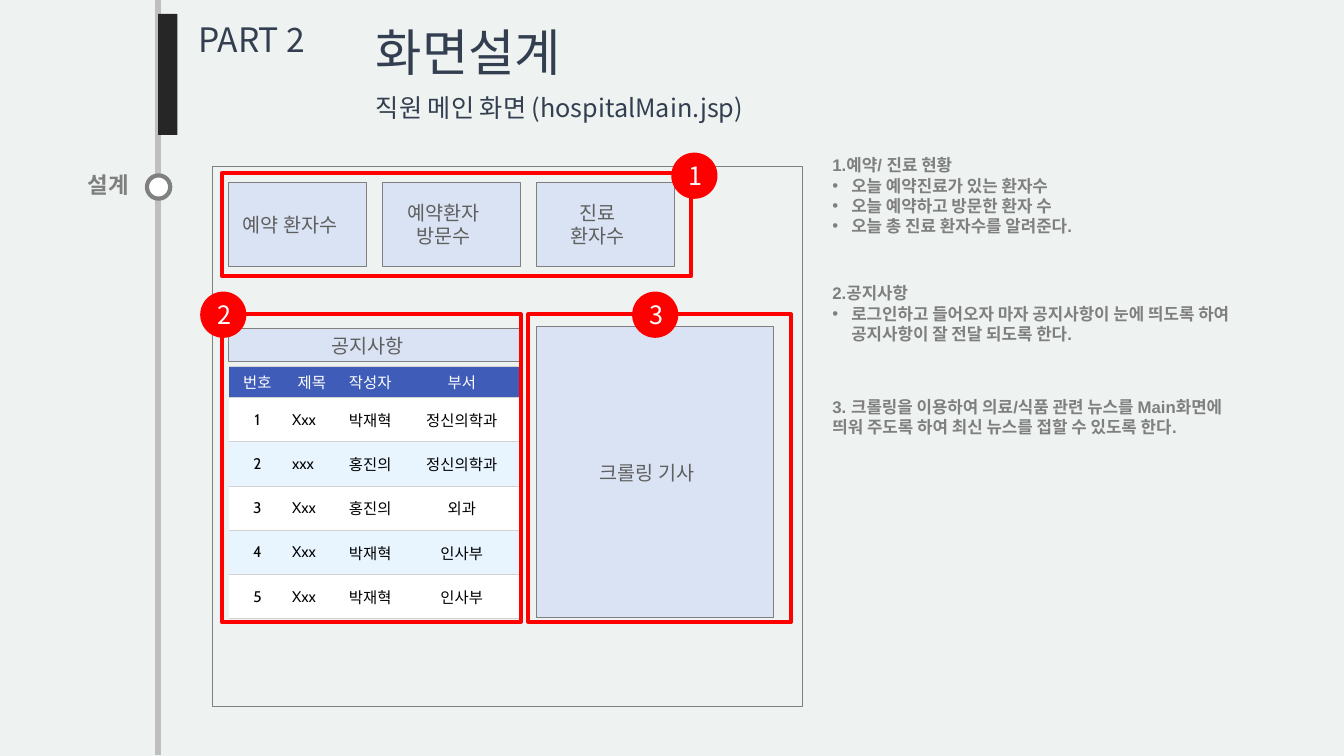
import pptx
import pptx.util
import pptx.dml.color
import pptx.enum.shapes
import pptx.enum.text
import pptx.oxml
import pptx.oxml.ns
from lxml import etree

Pt = pptx.util.Pt
SHAPES = pptx.enum.shapes.MSO_SHAPE
ALIGN = pptx.enum.text.PP_ALIGN
ANCHOR = pptx.enum.text.MSO_ANCHOR
KOREAN = "Noto Sans CJK KR"

COLORS = {
    "background": "EEF2F0", "rail": "BFBFBF", "bar": "262626", "heading": "333F50",
    "note": "7F7F7F", "outline": "808080", "panel": "DAE3F3", "panel_text": "5F5F5F",
    "red": "FF0000", "white": "FFFFFF", "black": "000000",
    "header": "3F5DB8", "band": "E8F5FF", "rule": "D2D2D2",
}

# Content
SECTION = "설계"
HEADINGS = [  # text, size, box, wrap
    ("PART 2", 24, (134.6, 10, 91.4, 36), False),
    ("화면설계", 36, (261.4, 11.5, 160, 51), False),
    ("직원 메인 화면 (hospitalMain.jsp)", 18, (261.4, 62.6, 310, 29), True),
]
NOTES = [  # top, height, heading, bullets
    (107.3, 65.5, "1.예약/ 진료 현황",
     ["오늘 예약진료가 있는 환자수", "오늘 예약하고 방문한 환자 수", "오늘 총 진료 환자수를 알려준다."]),
    (198.7, 51, "2.공지사항",
     ["로그인하고 들어오자 마자 공지사항이 눈에 띄도록 하여 공지사항이 잘 전달 되도록 한다."]),
    (280, 36, "3. 크롤링을 이용하여 의료/식품 관련 뉴스를 Main화면에 띄워 주도록 하여 "
     "최신 뉴스를 접할 수 있도록 한다.", []),
]
COUNTERS = [["예약 환자수"], ["예약환자 방문수"], ["진료", "환자수"]]
NOTICE_TITLE = "공지사항"
NOTICES = [
    ("번호", "제목", "작성자", "부서"),
    ("1", "Xxx", "박재혁", "정신의학과"),
    ("2", "xxx", "홍진의", "정신의학과"),
    ("3", "Xxx", "홍진의", "외과"),
    ("4", "Xxx", "박재혁", "인사부"),
    ("5", "Xxx", "박재혁", "인사부"),
]
NOTICE_WIDTHS = [41, 36.7, 46.9, 83.8]
NEWS = "크롤링 기사"
REGIONS = [  # marked area, centre of its number
    ((158.4, 123.8, 335.5, 73.4), (496, 125.5)),
    ((158.4, 224.6, 213.8, 219.6), (159.5, 224.8)),
    ((377.3, 224.6, 187.9, 219.6), (468, 224.8)),
]

LEFT = 163.4
COUNTER_STEP = 109.8
RAIL_X = 113
BADGE = 32

deck = pptx.Presentation()
deck.slide_width, deck.slide_height = Pt(960), Pt(540)
slide = deck.slides.add_slide(deck.slide_layouts[6])


def rgb(name):
    return pptx.dml.color.RGBColor.from_string(COLORS[name])


def paint(fill, color):
    fill.solid()
    fill.fore_color.rgb = rgb(color)


def write(frame, lines, *, size, color, font=KOREAN, bold=False, align=ALIGN.LEFT,
          wrap=True, anchor=None, insets=None, bullets_from=None):
    """Fill a text frame, one paragraph a line."""
    frame.word_wrap = wrap
    if anchor is not None:
        frame.vertical_anchor = anchor
    if insets:
        (frame.margin_left, frame.margin_top,
         frame.margin_right, frame.margin_bottom) = map(Pt, insets)
    for index, line in enumerate(lines):
        paragraph = frame.paragraphs[0] if index == 0 else frame.add_paragraph()
        paragraph.alignment = align
        run = paragraph.add_run()
        run.text = line
        run.font.size, run.font.bold, run.font.name = Pt(size), bold, font
        run.font.color.rgb = rgb(color)
        east_asian = etree.SubElement(run.font._element, pptx.oxml.ns.qn("a:ea"))
        east_asian.set("typeface", KOREAN)
        if bullets_from is not None and index >= bullets_from:
            properties = paragraph._p.get_or_add_pPr()
            properties.set("marL", str(Pt(13.5)))
            properties.set("indent", str(-Pt(13.5)))
            etree.SubElement(properties, pptx.oxml.ns.qn("a:buFont")).set("typeface", "Arial")
            etree.SubElement(properties, pptx.oxml.ns.qn("a:buChar")).set("char", "•")


def add_text(box, lines, **style):
    write(slide.shapes.add_textbox(*map(Pt, box)).text_frame, lines, **style)


def add_block(box, kind=SHAPES.RECTANGLE, fill=None, line=None, weight=0.5):
    block = slide.shapes.add_shape(kind, *map(Pt, box))
    block.shadow.inherit = False
    if fill:
        paint(block.fill, fill)
    else:
        block.fill.background()
    if line:
        block.line.color.rgb = rgb(line)
        block.line.width = Pt(weight)
    else:
        block.line.fill.background()
    return block


def add_panel(box, lines):
    panel = add_block(box, fill="panel", line="outline")
    write(panel.text_frame, lines, size=14, color="panel_text", font="Karla",
          align=ALIGN.CENTER, anchor=ANCHOR.MIDDLE, insets=(7.2, 3.6, 18, 3.6))


def rule_cell(cell):
    """Thin rules above and below, none at the sides."""
    properties = cell._tc.get_or_add_tcPr()
    for position, side in enumerate(("lnL", "lnR", "lnT", "lnB")):
        edge = etree.Element(pptx.oxml.ns.qn("a:" + side), w=str(Pt(0.75)))
        if side in ("lnT", "lnB"):
            solid = etree.SubElement(edge, pptx.oxml.ns.qn("a:solidFill"))
            etree.SubElement(solid, pptx.oxml.ns.qn("a:srgbClr")).set("val", COLORS["rule"])
        else:
            etree.SubElement(edge, pptx.oxml.ns.qn("a:noFill"))
        properties.insert(position, edge)


# Background, timeline and headings
paint(slide.background.fill, "background")
rail = slide.shapes.add_connector(pptx.enum.shapes.MSO_CONNECTOR.STRAIGHT,
                                  Pt(RAIL_X), Pt(0), Pt(RAIL_X), Pt(539.3))
rail.line.color.rgb = rgb("rail")
rail.line.width = Pt(4.5)
etree.SubElement(rail._element.spPr, pptx.oxml.ns.qn("a:effectLst"))
add_text((54, 118.8, 46.8, 26.6), [SECTION], size=16, color="note", bold=True,
         align=ALIGN.CENTER, wrap=False)
add_block((RAIL_X, 10, 13.7, 86.4), fill="bar")
add_block((105, 125.3, 16.6, 16.6), SHAPES.OVAL, fill="white", line="outline", weight=3)
for heading, size, box, wrap in HEADINGS:
    add_text(box, [heading], size=size, color="heading", wrap=wrap)

# Explanations on the right
for top, height, heading, bullets in NOTES:
    add_text((587.5, top, 316.8, height), [heading] + bullets, size=12, color="note",
             font="Arial", bold=True, bullets_from=1)

# Screen frame and patient counters
add_block((152, 118.8, 421.2, 386), line="outline")
for index, counter in enumerate(COUNTERS):
    add_panel((LEFT + index * COUNTER_STEP, 130.3, 98.6, 59.8), counter)

# Notice table
notice_board = slide.shapes.add_table(
    len(NOTICES), len(NOTICE_WIDTHS), Pt(LEFT), Pt(261.4),
    Pt(sum(NOTICE_WIDTHS)), Pt(180.8)).table
notice_board.first_row = notice_board.horz_banding = False
for column, width in zip(notice_board.columns, NOTICE_WIDTHS):
    column.width = Pt(width)
for r, notice in enumerate(NOTICES):
    notice_board.rows[r].height = Pt(31.6 if r else 22.6)
    for c, entry in enumerate(notice):
        cell = notice_board.cell(r, c)
        paint(cell.fill, "header" if r == 0 else "white" if r % 2 else "band")
        rule_cell(cell)
        cell.vertical_anchor = ANCHOR.MIDDLE
        cell.margin_left = cell.margin_right = Pt(4.3)
        cell.margin_top = cell.margin_bottom = Pt(2.2)
        write(cell.text_frame, [entry], size=11, color="black" if r else "white",
              font="Cabin" if r else KOREAN,
              align=ALIGN.LEFT if r and c == 1 else ALIGN.CENTER)

# Notice title and news panel
add_panel((LEFT, 234.7, 208.8, 23.8), [NOTICE_TITLE])
add_panel((LEFT + 2 * COUNTER_STEP, 233.3, 169.2, 208), [NEWS])

# Numbered regions
for area, _ in REGIONS:
    add_block(area, line="red", weight=2.75)
for number, (_, (x, y)) in enumerate(REGIONS, 1):
    badge = add_block((x - BADGE / 2, y - BADGE / 2, BADGE, BADGE), SHAPES.OVAL,
                      fill="red", line="red", weight=1)
    write(badge.text_frame, [str(number)], size=18, color="white",
          align=ALIGN.CENTER, anchor=ANCHOR.MIDDLE)

deck.save("out.pptx")
